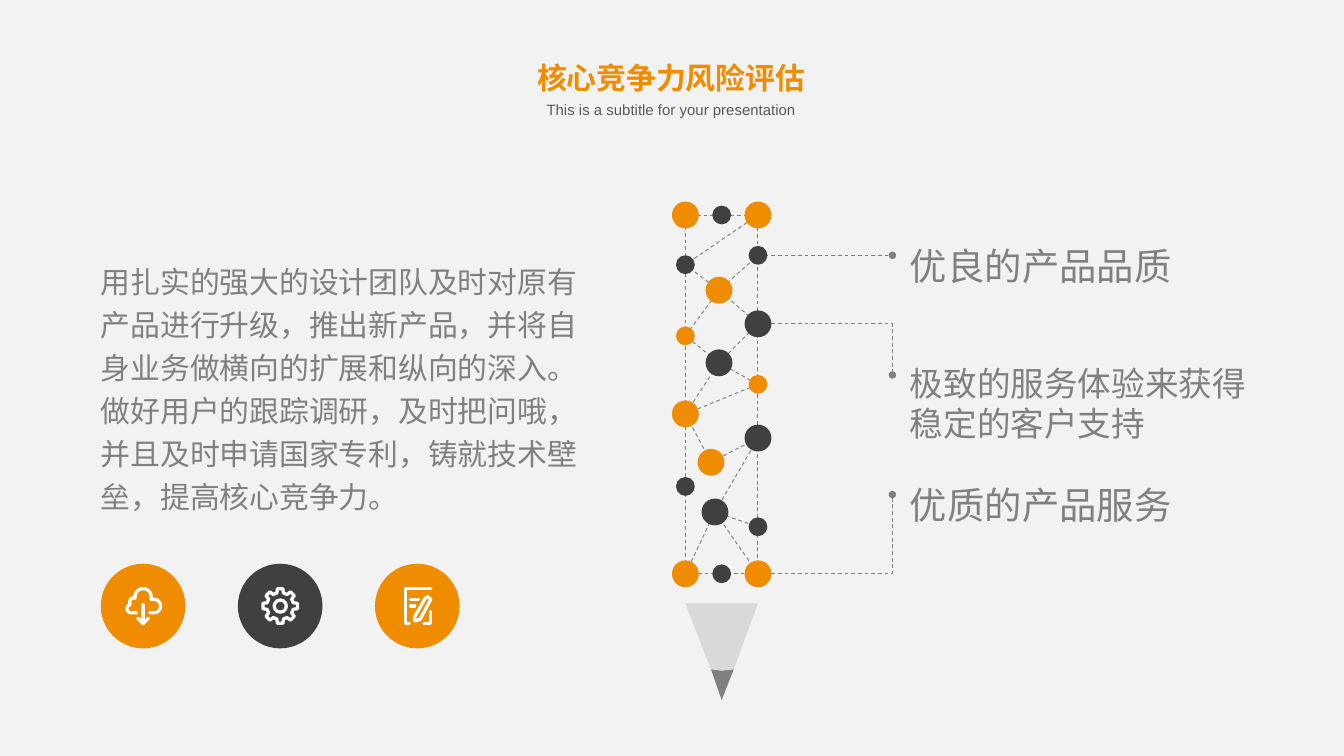
import math

from lxml import etree
from pptx import Presentation, util as u
from pptx.dml.color import RGBColor
from pptx.enum import dml, shapes, text
from pptx.oxml.ns import qn

WIDTH = 10
HEIGHT = WIDTH * 9 / 16
ORANGE, DARK, GREY, WHITE = "F08C00", "404040", "808080", "FFFFFF"
LEFT, MID, RIGHT = 5.1, 5.37, 5.64      # columns of the pencil
CALLOUT_X, TEXT_X = 6.64, 6.77
BIG, SMALL = 0.2, 0.14                  # node diameters
DISC, DISC_LEFT, DISC_PITCH, DISC_Y = 0.63, 0.75, 1.02, 4.51

# Pencil nodes: centre, diameter, colour
NODES = {
    "L1": (LEFT, 1.6, BIG, ORANGE), "L2": (LEFT, 1.97, SMALL, DARK),
    "L3": (LEFT, 2.5, SMALL, ORANGE), "L4": (LEFT, 3.08, BIG, ORANGE),
    "L5": (LEFT, 3.62, SMALL, DARK), "L6": (LEFT, 4.27, BIG, ORANGE),
    "M1": (MID, 1.6, SMALL, DARK), "M2": (5.35, 2.16, BIG, ORANGE),
    "M3": (5.35, 2.7, BIG, DARK), "M4": (5.29, 3.44, BIG, ORANGE),
    "M5": (5.32, 3.81, BIG, DARK), "M6": (MID, 4.27, SMALL, DARK),
    "R1": (RIGHT, 1.6, BIG, ORANGE), "R2": (RIGHT, 1.9, SMALL, DARK),
    "R3": (RIGHT, 2.41, BIG, DARK), "R4": (RIGHT, 2.86, SMALL, ORANGE),
    "R5": (RIGHT, 3.26, BIG, DARK), "R6": (RIGHT, 3.92, SMALL, DARK),
    "R7": (RIGHT, 4.27, BIG, ORANGE),
}
WEBS = ["R1 L2 M2 R3 M3 L4 M4 R5 M5 R7", "L6 M5 R6", "L4 R4 M3 L3 M2 R2"]

# Callouts: start node, height of the end dot, text, top, height, font size
CALLOUTS = [
    ("R2", 1.9, "优良的产品品质", 1.81, 0.34, 20),
    ("R3", 2.79, "极致的服务体验来获得稳定的客户支持", 2.7, 0.61, 18),
    ("R7", 3.68, "优质的产品服务", 3.59, 0.34, 20),
]
BODY = ("用扎实的强大的设计团队及时对原有产品进行升级，推出新产品，"
        "并将自身业务做横向的扩展和纵向的深入。做好用户的跟踪调研，及时把问哦，"
        "并且及时申请国家专利，铸就技术壁垒，提高核心竞争力。")


def inches(*lengths):
    return [u.Inches(length) for length in lengths]


def rgb(color):
    return RGBColor.from_string(color)


def paint(shape, fill=None):
    shape.shadow.inherit = False
    if fill:
        shape.fill.solid()
        shape.fill.fore_color.rgb = rgb(fill)
        shape.line.fill.background()
    else:
        shape.fill.background()


def pen(line, color=GREY, width=0.5, dashed=True):
    line.color.rgb = rgb(color)
    line.width = u.Pt(width)
    if dashed:
        line.dash_style = dml.MSO_LINE.DASH


def ellipse(slide, x, y, diameter, fill=None):
    corner = inches(x - diameter / 2, y - diameter / 2)
    dot = slide.shapes.add_shape(
        shapes.MSO_SHAPE.OVAL, *corner, *inches(diameter, diameter))
    paint(dot, fill)
    return dot


def outline(slide, points, closed=False, fill=None):
    corners = [inches(*point) for point in points]
    builder = slide.shapes.build_freeform(*corners[0])
    builder.add_line_segments(corners[1:], close=closed)
    shape = builder.convert_to_shape()
    paint(shape, fill)
    return shape


def route(slide, points, closed=False):
    """A connector between two points, an open outline through more."""
    if len(points) > 2:
        return outline(slide, points, closed)
    straight = slide.shapes.add_connector(
        shapes.MSO_CONNECTOR.STRAIGHT, *inches(*points[0], *points[1]))
    etree.SubElement(straight._element.spPr, qn("a:effectLst"))
    return straight


def icon_stroke(slide, center, points, closed=False):
    mark = route(slide, [(center + x, DISC_Y + y) for x, y in points], closed)
    pen(mark.line, WHITE, 1.75, dashed=False)
    ln = mark.line._get_or_add_ln()
    ln.set("cap", "rnd")
    etree.SubElement(ln, qn("a:round"))


def polar(radius, degrees, x=0, y=0):
    angle = math.radians(degrees)
    return x + radius * math.cos(angle), y + radius * math.sin(angle)


def arc(x, y, radius, start, end, steps=14):
    return [polar(radius, start + (end - start) * i / steps, x, y)
            for i in range(steps + 1)]


def cloud_icon(slide, center):
    cloud = ([(-0.05, 0.05)] + arc(-0.09, 0.02, 0.03, 90, 250)
             + arc(-0.07, -0.03, 0.03, 150, 290)
             + arc(0, -0.07, 0.06, 180, 375)
             + arc(0.08, 0, 0.05, -110, 90) + [(0.05, 0.05)])
    icon_stroke(slide, center, cloud)
    icon_stroke(slide, center, [(0, -0.01), (0, 0.13)])
    icon_stroke(slide, center, [(-0.04, 0.09), (0, 0.13), (0.04, 0.09)])


def gear_icon(slide, center):
    rim = [polar(radius, tooth * 45 + turn) for tooth in range(8)
           for radius, turn in [(0.1, -14), (0.13, -9), (0.13, 9), (0.1, 14)]]
    icon_stroke(slide, center, rim, closed=True)
    hub = ellipse(slide, center, DISC_Y, 0.09)
    pen(hub.line, WHITE, 1.75, dashed=False)


def document_icon(slide, center):
    icon_stroke(slide, center, [(-0.06, 0.13), (-0.09, 0.13), (-0.09, -0.13), (0.1, -0.13)])
    icon_stroke(slide, center, [(0.1, 0.04), (0.1, 0.13), (0.05, 0.13)])
    icon_stroke(slide, center, [(-0.05, -0.05), (0.01, -0.05)])
    icon_stroke(slide, center, [(-0.05, 0), (-0.02, 0)])
    pencil = [(-0.02, 0.11), (-0.02, 0.08), (0.06, -0.06), (0.08, -0.07),
              (0.1, -0.05), (0.09, -0.03), (0.02, 0.1)]
    icon_stroke(slide, center, pencil, closed=True)


def style(paragraph, size, color, font="Calibri", bold=False):
    paragraph.font.size = u.Pt(size)
    paragraph.font.name = font
    paragraph.font.bold = bold
    paragraph.font.color.rgb = rgb(color)


def label(slide, box, words, size, color=GREY, font="Calibri"):
    frame = slide.shapes.add_textbox(*inches(*box)).text_frame
    frame.word_wrap = True
    frame.margin_left = frame.margin_right = frame.margin_top = frame.margin_bottom = 0
    paragraph = frame.paragraphs[0]
    paragraph.text = words
    style(paragraph, size, color, font)
    return paragraph


def heading(slide):
    title = slide.shapes.title
    title.left, title.top, title.width, title.height = inches(3.78, 0.39, 2.43, 0.37)
    title.text_frame.text = "核心竞争力风险评估"
    title.text_frame.vertical_anchor = text.MSO_ANCHOR.MIDDLE
    name = title.text_frame.paragraphs[0]
    name.alignment = text.PP_ALIGN.CENTER
    style(name, 16, ORANGE, "Noto Sans CJK SC", bold=True)
    subtitle = label(slide, (4.01, 0.75, 1.97, 0.13),
                     "This is a subtitle for your presentation", 8, "595959", "Arial")
    subtitle.alignment = text.PP_ALIGN.CENTER


def callout(slide, node, dot_y, words, top, height, size):
    x, y = NODES[node][:2]
    points = [(x, y), (CALLOUT_X, y)]
    if dot_y != y:
        points.append((CALLOUT_X, dot_y))
    leader = route(slide, points)
    pen(leader.line)
    etree.SubElement(leader.line._get_or_add_ln(), qn("a:tailEnd"),
                     type="oval", w="sm", len="sm")
    label(slide, (TEXT_X, top, 2.68, height), words, size)


def pencil_body(slide):
    frame = slide.shapes.add_shape(
        shapes.MSO_SHAPE.RECTANGLE, *inches(LEFT, 1.6, RIGHT - LEFT, 2.67))
    paint(frame)
    pen(frame.line)
    for web in WEBS:
        pen(route(slide, [NODES[name][:2] for name in web.split()]).line)
    for node in NODES.values():
        ellipse(slide, *node)
    # Wood and lead of the tip
    edge = [(5.29, 4.98), (MID, 4.99), (5.46, 4.98)]
    outline(slide, edge + [(MID, 5.21)], True, GREY)
    outline(slide, [(LEFT, 4.49)] + edge + [(RIGHT, 4.49)], True, "D9D9D9")


def main():
    deck = Presentation()
    deck.slide_width, deck.slide_height = inches(WIDTH, HEIGHT)
    slide = deck.slides.add_slide(deck.slide_layouts.get_by_name("Title Only"))
    slide.background.fill.solid()
    slide.background.fill.fore_color.rgb = rgb("F2F2F2")
    heading(slide)
    for entry in CALLOUTS:
        callout(slide, *entry)
    pencil_body(slide)
    label(slide, (0.75, 1.91, 3.7, 1.94), BODY, 16).line_spacing = 1.2
    # Row of icon discs
    icons = [(cloud_icon, ORANGE), (gear_icon, DARK), (document_icon, ORANGE)]
    for column, (draw_icon, color) in enumerate(icons):
        center = DISC_LEFT + DISC / 2 + column * DISC_PITCH
        ellipse(slide, center, DISC_Y, DISC, color)
        draw_icon(slide, center)
    deck.save("out.pptx")


if __name__ == "__main__":
    main()
